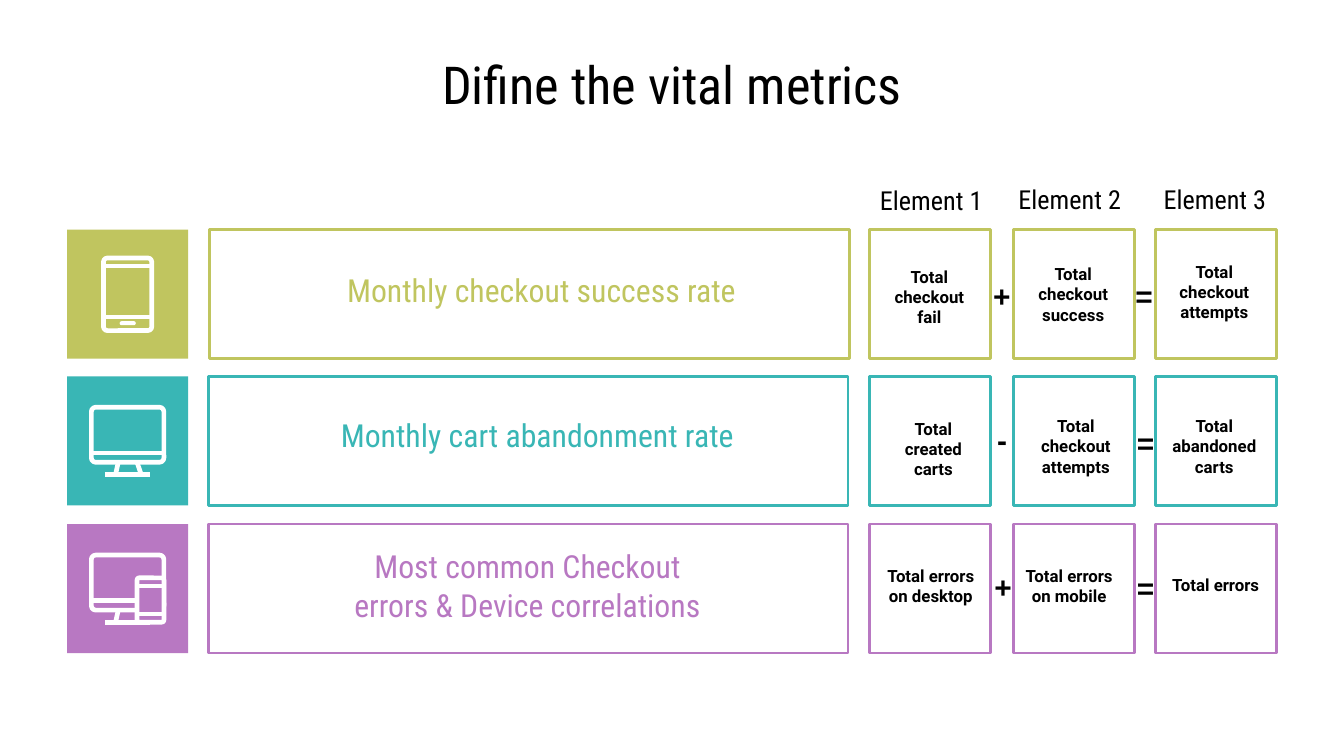
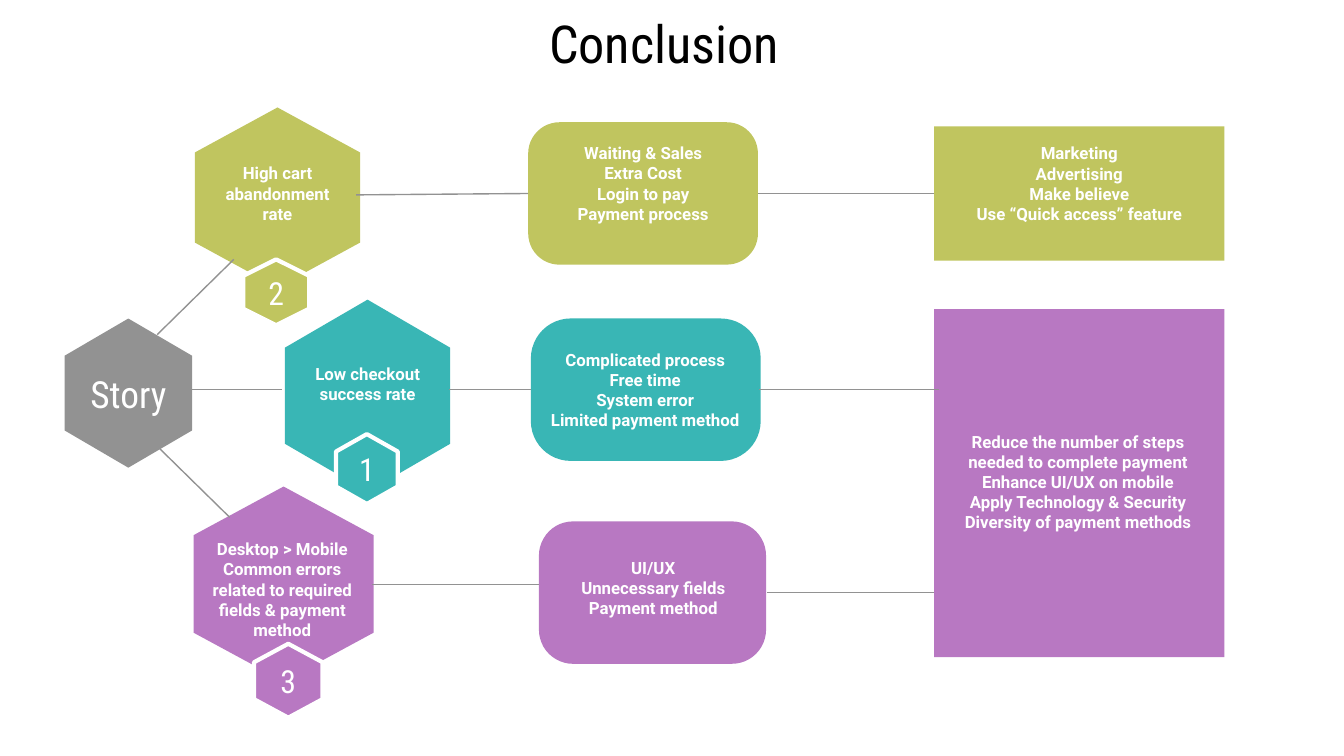
from pptx import Presentation
from pptx.dml.color import RGBColor
from pptx.enum.shapes import MSO_CONNECTOR, MSO_SHAPE
from pptx.enum.text import MSO_ANCHOR, MSO_AUTO_SIZE, PP_ALIGN
from pptx.oxml.ns import qn
from pptx.util import Inches, Pt

ROUNDED, RECT = MSO_SHAPE.ROUNDED_RECTANGLE, MSO_SHAPE.RECTANGLE
STRAIGHT = MSO_CONNECTOR.STRAIGHT
TOP, MIDDLE = MSO_ANCHOR.TOP, MSO_ANCHOR.MIDDLE
LEFT, CENTER = PP_ALIGN.LEFT, PP_ALIGN.CENTER
NO_AUTOFIT = MSO_AUTO_SIZE.NONE

OLIVE, TEAL, PURPLE, GRAY = "C0C55F", "39B6B5", "B878C2", "929292"
BLACK, WHITE = "000000", "FFFFFF"
BODY, HEADING, SYMBOL = "Roboto", "Roboto Condensed", "Arial"
TITLE_ONLY = 5


def rgb(value):
    return RGBColor.from_string(value)


def write(shape, text, font=BODY, size=9, color=WHITE, bold=False, align=CENTER,
          anchor=MIDDLE, insets=(0.1, 0.1, 0.1, 0.1)):
    frame = shape.text_frame
    frame.auto_size = NO_AUTOFIT
    frame.word_wrap = True
    frame.vertical_anchor = anchor
    (frame.margin_left, frame.margin_top,
     frame.margin_right, frame.margin_bottom) = map(Inches, insets)
    frame.text = text
    for paragraph in frame.paragraphs:
        paragraph.alignment = align
        for run in paragraph.runs:
            run.font.name = font
            run.font.size = Pt(size)
            run.font.bold = bold
            run.font.color.rgb = rgb(color)


class Deck:
    def __init__(self):
        self.presentation = Presentation()
        self.presentation.slide_width = Inches(10)
        self.presentation.slide_height = Inches(10) * 9 // 16
        self.slide = None

    def new_slide(self, title, left, top):
        layout = self.presentation.slide_layouts[TITLE_ONLY]
        self.slide = self.presentation.slides.add_slide(layout)
        heading = self.slide.shapes.title
        heading.left, heading.top = Inches(left), Inches(top)
        heading.width, heading.height = Inches(4.5), Inches(0.35)
        write(heading, title, font=HEADING, size=28, color=BLACK)

    def style(self, shape, fill, line, weight):
        shape.shadow.inherit = False
        if fill:
            shape.fill.solid()
            shape.fill.fore_color.rgb = rgb(fill)
        else:
            shape.fill.background()
        if line:
            shape.line.color.rgb = rgb(line)
            shape.line.width = Pt(weight)
        else:
            shape.line.fill.background()
        return shape

    def box(self, left, top, width, height, fill=None, line=None, weight=1.5, corner=None):
        preset = RECT if corner is None else ROUNDED
        shape = self.slide.shapes.add_shape(preset, *map(Inches, (left, top, width, height)))
        if corner is not None:
            shape.adjustments[0] = corner
        return self.style(shape, fill, line, weight)

    def hexagon(self, left, top, width, height, fill, line=None):
        middle, right = left + width / 2, left + width
        upper, lower = top + height / 4, top + height * 3 / 4
        corners = [(middle, top), (left, upper), (left, lower),
                   (middle, top + height), (right, lower), (right, upper)]
        points = [(Inches(x), Inches(y)) for x, y in corners]
        builder = self.slide.shapes.build_freeform(*points[0], scale=1.0)
        builder.add_line_segments(points[1:], close=True)
        return self.style(builder.convert_to_shape(), fill, line, 2.25)

    def label(self, text, left, top, width, height, **text_format):
        area = self.slide.shapes.add_textbox(*map(Inches, (left, top, width, height)))
        write(area, text, **text_format)

    def panel(self, text, place, color, area=None, corner=None):
        shape = self.box(*place, fill=color, corner=corner)
        if area:
            self.label(text, *area, bold=True, anchor=TOP, insets=(0.1, 0.05, 0.1, 0.05))
        else:
            write(shape, text, bold=True, insets=(0.1, 0.1, 0.1, 0.25))

    def line(self, x1, y1, x2, y2, color=GRAY, weight=0.75):
        connector = self.slide.shapes.add_connector(STRAIGHT, *map(Inches, (x1, y1, x2, y2)))
        connector.line.color.rgb = rgb(color)
        connector.line.width = Pt(weight)
        properties = connector._element.spPr
        properties.append(properties.makeelement(qn("a:effectLst"), {}))

    def stroke(self, *ends):
        self.line(*ends, color=WHITE, weight=2.5)

    def device(self, left, top, width, height, bars, fill=None, corner=0.08):
        self.box(left, top, width, height, fill=fill, line=WHITE, weight=2.5, corner=corner)
        for bar in bars:
            self.stroke(left, top + bar, left + width, top + bar)


def phone_icon(deck, top):
    deck.device(0.77, top + 0.21, 0.36, 0.54, (0.06, 0.44))
    deck.box(0.89, top + 0.68, 0.12, 0.03, fill=WHITE, corner=0.5)


def monitor_icon(deck, top):
    deck.device(0.68, top + 0.23, 0.54, 0.41, (0.34,))
    deck.stroke(0.88, top + 0.64, 0.86, top + 0.73)
    deck.stroke(1.02, top + 0.64, 1.05, top + 0.73)
    deck.stroke(0.78, top + 0.73, 1.12, top + 0.73)


def monitor_phone_icon(deck, top):
    monitor_icon(deck, top)
    deck.device(1.02, top + 0.4, 0.2, 0.33, (0.06, 0.27), fill=PURPLE)


ROW_TOPS = (1.71, 2.8, 3.9)
ELEMENT_LEFTS = (6.47, 7.54, 8.6)
METRICS = [
    (OLIVE, phone_icon, 1.56, ("Monthly checkout success rate", 2.41, 2, 3.24, 0.31),
     [("Total checkout fail", 6.5, 1.98, 0.83), ("Total checkout success", 7.57, 1.96, 0.83),
      ("Total checkout attempts", 8.6, 1.94, 0.87)],
     [("+", 7.29, 2.02, 0.25), ("=", 8.35, 2.02, 0.41)]),
    (TEAL, monitor_icon, 1.55, ("Monthly cart abandonment rate", 2.3, 3.12, 3.4, 0.23),
     [("Total created carts", 6.51, 3.11, 0.87), ("Total checkout attempts", 7.57, 3.09, 0.87),
      ("Total abandoned carts", 8.6, 3.09, 0.87)],
     [("-", 7.32, 3.09, 0.41), ("=", 8.36, 3.11, 0.41)]),
    (PURPLE, monitor_phone_icon, 1.55,
     ("Most common Checkout errors & Device correlations", 2.43, 4.2, 2.99, 0.31),
     [("Total errors on desktop", 6.49, 4.13, 0.87), ("Total errors on mobile", 7.52, 4.13, 0.87),
      ("Total errors", 8.61, 4.12, 0.87)],
     [("+", 7.3, 4.18, 0.25), ("=", 8.36, 4.19, 0.41)]),
]


def metrics_slide(deck):
    deck.new_slide("Difine the vital metrics", 2.75, 0.45)
    for number, (left, top) in enumerate([(6.31, 1.26), (7.34, 1.25), (8.42, 1.25)], 1):
        deck.label(f"Element {number}", left, top, 1.24, 0.46,
                   font=HEADING, size=14, color=BLACK)
    for top, (color, icon, metric_left, metric, elements, operators) in zip(ROW_TOPS, METRICS):
        deck.box(0.5, top, 0.9, 0.96, fill=color, corner=0)
        icon(deck, top)
        deck.box(metric_left, top, 4.76, 0.96, line=color)
        deck.label(*metric, font=HEADING, size=17, color=color)
        for box_left, element in zip(ELEMENT_LEFTS, elements):
            deck.box(box_left, top, 0.9, 0.96, line=color, corner=0)
            deck.label(*element, 0.46, color=BLACK, bold=True)
        for operator in operators:
            deck.label(*operator, 0.37, font=SYMBOL, size=16, color=BLACK, bold=True,
                       align=LEFT, anchor=TOP, insets=(0.1, 0.05, 0.1, 0.05))


FINDINGS = [
    ("1", TEAL, (2.12, 2.23, 1.23, 1.43), (2.5, 3.23, 0.46, 0.52),
     "Low checkout success rate", (2.18, 2.39, 1.11, 0.93)),
    ("3", PURPLE, (1.44, 3.62, 1.34, 1.45), (1.89, 4.79, 0.51, 0.55),
     "Desktop > Mobile Common errors related to required fields & payment method",
     (1.43, 4.21, 1.34, 0.35)),
    ("2", OLIVE, (1.45, 0.8, 1.23, 1.34), (1.81, 1.93, 0.49, 0.49),
     "High cart abandonment rate", (1.48, 0.96, 1.17, 0.96)),
]
PANELS = [
    ("Marketing\nAdvertising\nMake believe\nUse “Quick access” feature",
     (6.95, 0.94, 2.16, 1), OLIVE),
    ("Reduce the number of steps needed to complete payment\nEnhance UI/UX on mobile\n"
     "Apply Technology & Security\nDiversity of payment methods",
     (6.95, 2.3, 2.16, 2.59), PURPLE, (6.95, 3.16, 2.14, 1.19)),
    ("Waiting & Sales\nExtra Cost\nLogin to pay\nPayment process",
     (3.93, 0.91, 1.71, 1.06), OLIVE, None, 0.22),
    ("Complicated process\nFree time\nSystem error\nLimited payment method",
     (3.95, 2.37, 1.71, 1.06), TEAL, (3.73, 2.55, 2.14, 0.88), 0.28),
    ("UI/UX\nUnnecessary fields\nPayment method",
     (4.01, 3.88, 1.69, 1.06), PURPLE, (3.79, 4.1, 2.14, 0.72), 0.24),
]
LINKS = [
    (1.17, 2.49, 1.74, 1.93), (1.19, 3.34, 1.71, 3.85), (1.43, 2.9, 2.1, 2.9),
    (3.34, 2.9, 3.95, 2.9), (2.77, 4.35, 4.01, 4.35), (2.65, 1.45, 3.93, 1.44),
    (5.64, 1.44, 6.95, 1.44), (5.65, 2.9, 6.99, 2.9), (5.71, 4.41, 6.95, 4.41),
]


def conclusion_slide(deck):
    deck.new_slide("Conclusion", 2.69, 0.14)
    for panel in PANELS:
        deck.panel(*panel)
    story = deck.hexagon(0.48, 2.37, 0.95, 1.11, GRAY)
    write(story, "Story", font=HEADING, size=20)
    for rank, color, body, badge, finding, area in FINDINGS:
        deck.hexagon(*body, color)
        deck.label(finding, *area, bold=True)
        write(deck.hexagon(*badge, color, line=WHITE), rank, font=HEADING, size=17)
    for link in LINKS:
        deck.line(*link)


def main():
    deck = Deck()
    metrics_slide(deck)
    conclusion_slide(deck)
    deck.presentation.save("out.pptx")


if __name__ == "__main__":
    main()
